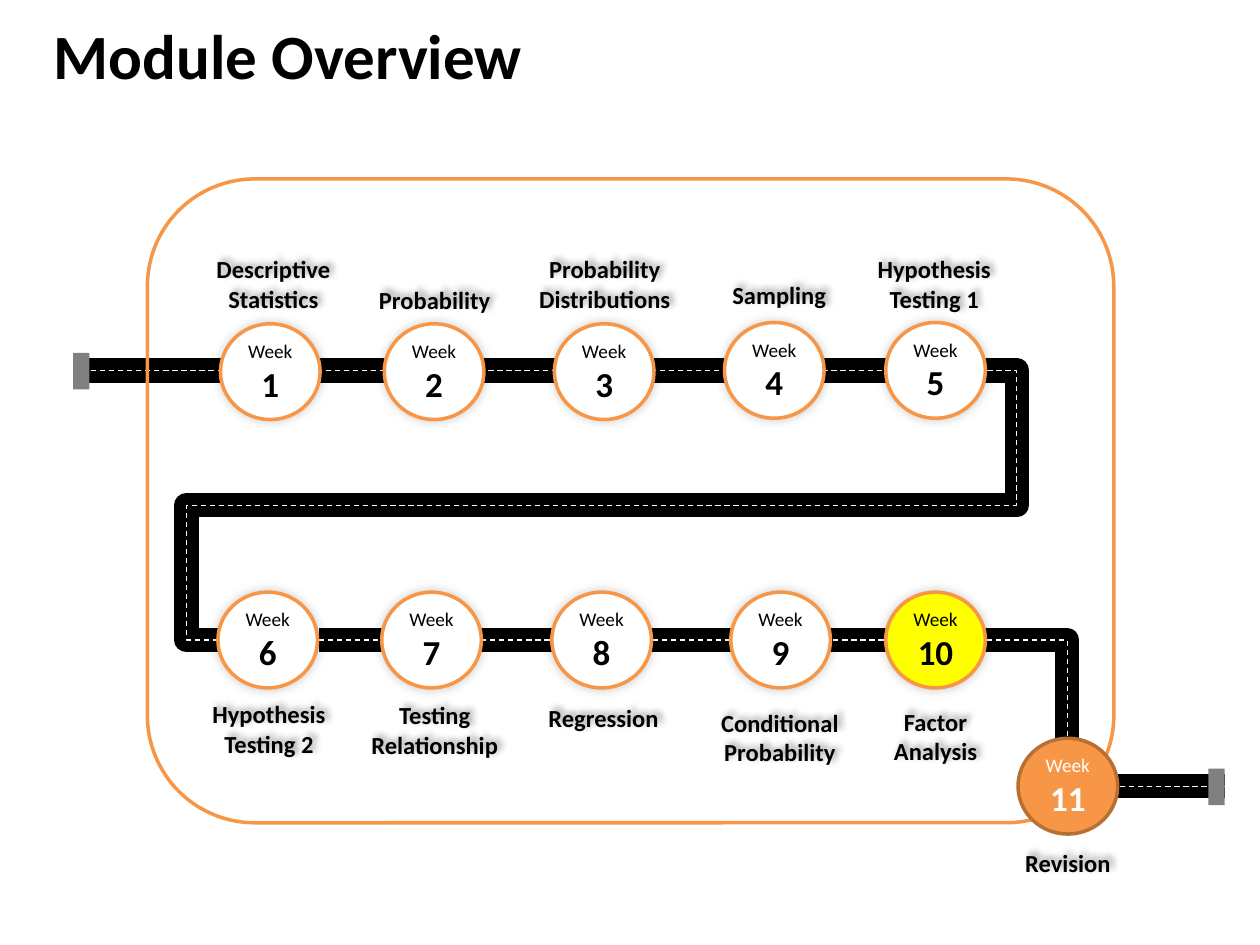
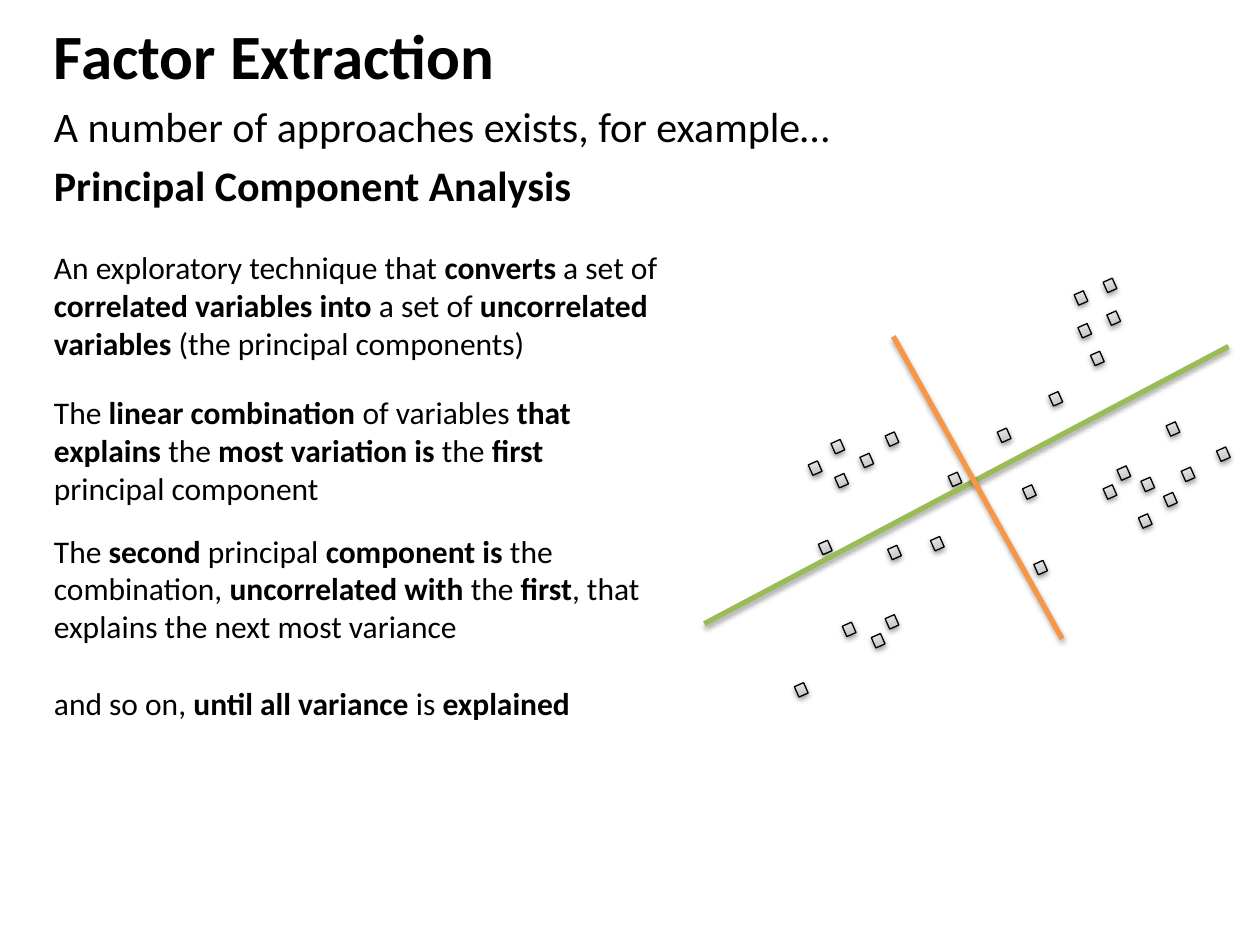
from lxml.etree import SubElement
from pptx import Presentation
from pptx.dml.color import RGBColor
from pptx.enum.dml import MSO_LINE
from pptx.enum.shapes import MSO_CONNECTOR, MSO_SHAPE
from pptx.enum.text import MSO_ANCHOR, MSO_AUTO_SIZE, PP_ALIGN
from pptx.oxml.ns import qn
from pptx.util import Emu, Pt

PX = 9144  # EMU; 100 px to the inch
FONT = "Calibri"
BLACK, WHITE, GREY = "000000", "FFFFFF", "808080"
ORANGE, BROWN, YELLOW, GREEN = "F79646", "B76F34", "FFFF00", "9BBB59"
DOT_DARK, DOT_LIGHT = "BDBDBD", "EEEEEE"

# Opacity in percent, blur and distance in points, direction in degrees
CIRCLE_SHADOW = (20, 6, 0, 315)
LABEL_SHADOW = (40, 4, 3, 315)
DOT_SHADOW = (38, 3.1, 1.6, 90)
AXIS_SHADOW = (35, 3.1, 1.8, 90)

# Week, circle left and top, label left, top and width, label lines
WEEKS = [
    (1, 175, 257, 161, 197, 112, ["Descriptive", "Statistics"]),
    (2, 305, 257, 290, 221, 110, ["Probability"]),
    (3, 440, 257, 417, 197, 126, ["Probability", "Distributions"]),
    (4, 575, 256, 571, 217, 95, ["Sampling"]),
    (5, 703, 256, 686, 197, 111, ["Hypothesis", "Testing 1"]),
    (6, 173, 470, 158, 550, 111, ["Hypothesis", "Testing 2"]),
    (7, 303, 470, 284, 551, 122, ["Testing", "Relationship"]),
    (8, 438, 470, 425, 553, 108, ["Regression"]),
    (9, 580, 470, 562, 557, 114, ["Conditional", "Probability"]),
    (10, 703, 470, 693, 556, 99, ["Factor", "Analysis"]),
    (11, 808, 586, 803, 668, 89, ["Revision"]),
]
CURRENT_WEEK, LAST_WEEK = 10, 11

DOTS = [
    (857, 258), (834, 312), (854, 232), (880, 248), (867, 280), (693, 504),
    (670, 495), (706, 434), (632, 543), (704, 489), (877, 222), (740, 427),
    (793, 341), (877, 386), (907, 380), (643, 367), (661, 350), (664, 377),
    (888, 371), (905, 409), (925, 392), (704, 344), (927, 336), (651, 430),
    (684, 361), (754, 376), (813, 386), (939, 372), (822, 446), (967, 356),
]


def color(hex_string):
    return RGBColor.from_string(hex_string)


def px(*lengths):
    return [Emu(length * PX) for length in lengths]


def set_shadow(shape, shadow=None):
    """Replace the theme shadow by the given one, or by none."""
    properties = shape._element.spPr
    effects = properties.find(qn("a:effectLst"))
    if effects is None:
        effects = SubElement(properties, qn("a:effectLst"))
    if shadow:
        opacity, blur, distance, direction = shadow
        outer = SubElement(
            effects, qn("a:outerShdw"), blurRad=str(Pt(blur)),
            dist=str(Pt(distance)), dir=str(direction * 60000),
            algn="ctr", rotWithShape="0")
        tint = SubElement(outer, qn("a:srgbClr"), val=BLACK)
        SubElement(tint, qn("a:alpha"), val=str(opacity * 1000))


class SlideBuilder:
    """Holds the deck, its style and the slide being drawn."""

    def __init__(self):
        self.deck = Presentation()
        self.deck.slide_width, self.deck.slide_height = px(1000, 750)
        self.page = None

    def new_page(self, title):
        self.page = self.deck.slides.add_slide(self.deck.slide_layouts[6])
        self.text(33, 8, 900, 95, [[(title, True)]], 36)

    def span(self, para, words, size, bold=False, ink=BLACK):
        span = para.add_run()
        span.text = words
        span.font.name, span.font.size = FONT, Pt(size)
        span.font.bold = bold
        span.font.color.rgb = color(ink)

    def text(self, left, top, width, height, paragraphs, size,
             align=PP_ALIGN.LEFT, space_before=0):
        """Add a text box; a paragraph is a list of (words, bold) spans."""
        box = self.page.shapes.add_textbox(*px(left, top, width, height))
        frame = box.text_frame
        frame.word_wrap = True
        for index, spans in enumerate(paragraphs):
            para = frame.add_paragraph() if index else frame.paragraphs[0]
            para.alignment = align
            para.space_before = Pt(space_before)
            for words, bold in spans:
                self.span(para, words, size, bold)
        return box

    def label(self, left, top, width, lines):
        height = 34 if len(lines) == 1 else 57
        box = self.text(left, top, width, height,
                        [[(line, True)] for line in lines], 14,
                        align=PP_ALIGN.CENTER)
        box.text_frame.word_wrap = False
        box.text_frame.auto_size = MSO_AUTO_SIZE.SHAPE_TO_FIT_TEXT
        set_shadow(box, LABEL_SHADOW)

    def shape(self, kind, left, top, width, height, fill=None, line=None,
              weight=2, shadow=None, parent=None):
        shapes = (parent or self.page).shapes
        shape = shapes.add_shape(kind, *px(left, top, width, height))
        shape.shadow.inherit = False
        if fill:
            shape.fill.solid()
            shape.fill.fore_color.rgb = color(fill)
        else:
            shape.fill.background()
        if line:
            shape.line.color.rgb = color(line)
            shape.line.width = Pt(weight)
        else:
            shape.line.fill.background()
        set_shadow(shape, shadow)
        return shape

    def week(self, number, left, top):
        fill, line, ink, shadow = WHITE, ORANGE, BLACK, CIRCLE_SHADOW
        if number == CURRENT_WEEK:
            fill = YELLOW
        elif number == LAST_WEEK:
            fill, line, ink, shadow = ORANGE, BROWN, WHITE, None
        circle = self.shape(MSO_SHAPE.OVAL, left, top, 79, 76, fill, line,
                            shadow=shadow)
        frame = circle.text_frame
        frame.vertical_anchor = MSO_ANCHOR.MIDDLE
        frame.margin_left = frame.margin_right = 0
        self.span(frame.paragraphs[0], "Week", 11, ink=ink)
        self.span(frame.add_paragraph(), str(number), 20, True, ink)
        for para in frame.paragraphs:
            para.alignment = PP_ALIGN.CENTER

    def line(self, start, end, ink, weight, preset="line", bends=(),
             shadow=None):
        kind = (MSO_CONNECTOR.STRAIGHT if preset == "line"
                else MSO_CONNECTOR.ELBOW)
        line = self.page.shapes.add_connector(kind, *px(*start, *end))
        line.line.color.rgb = color(ink)
        line.line.width = Pt(weight)
        geometry = line._element.spPr.find(qn("a:prstGeom"))
        geometry.set("prst", preset)
        guides = geometry.find(qn("a:avLst"))
        for index, bend in enumerate(bends, 1):
            SubElement(guides, qn("a:gd"), name=f"adj{index}",
                       fmla=f"val {bend}")
        set_shadow(line, shadow)
        return line

    def road(self, start, end, preset="line", bends=()):
        """Add a thick black line with a dashed white centre line."""
        self.line(start, end, BLACK, 14, preset, bends)
        centre = self.line(start, end, WHITE, 0.75, preset, bends)
        centre.line.dash_style = MSO_LINE.DASH

    def road_end(self, left, top):
        self.shape(MSO_SHAPE.RECTANGLE, left, top, 13, 29, GREY)

    def dot(self, group, left, top):
        dot = self.shape(MSO_SHAPE.RECTANGLE, left, top, 8, 9, DOT_LIGHT,
                         BLACK, 0.75, DOT_SHADOW, group)
        dot.rotation = 336.1
        dot.fill.gradient()
        dot.fill.gradient_angle = 90
        for stop, shade in zip(dot.fill.gradient_stops,
                               (DOT_DARK, DOT_LIGHT)):
            stop.color.rgb = color(shade)


def module_overview(builder):
    builder.new_page("Module Overview")
    builder.road((58, 294), (703, 294))
    builder.shape(MSO_SHAPE.ROUNDED_RECTANGLE, 117, 142, 767, 511,
                  line=ORANGE)
    builder.road_end(58, 280)
    builder.road((253, 508), (847, 586), "bentConnector2")
    builder.road((173, 508), (782, 294), "bentConnector5",
                 (-4100, 50000, 104100))
    builder.road((972, 624), (887, 624))
    builder.road_end(959, 610)
    for number, left, top, *label in WEEKS:
        builder.week(number, left, top)
        builder.label(*label)


def factor_extraction(builder):
    builder.new_page("Factor Extraction")
    builder.text(33, 75, 650, 117, [
        [("A number of approaches exists, for example…", False)],
        [("Principal Component Analysis", True)],
    ], 24, space_before=4.8)
    builder.text(33, 192, 500, 101, [[
        ("An exploratory technique that ", False), ("converts", True),
        (" a set of ", False), ("correlated variables into", True),
        (" a set of ", False), ("uncorrelated variables", True),
        (" (the principal components)", False),
    ]], 18)
    builder.text(33, 307, 500, 101, [[
        ("The ", False), ("linear combination", True),
        (" of variables ", False), ("that explains", True),
        (" the ", False), ("most variation is", True),
        (" the ", False), ("first", True), (" principal component", False),
    ]], 18)
    closing = builder.text(33, 417, 500, 162, [[
        ("The ", False), ("second", True), (" principal ", False),
        ("component is", True), (" the combination, ", False),
        ("uncorrelated with", True), (" the ", False), ("first", True),
        (", that explains the next most variance", False),
    ], [
        ("and so on, ", False), ("until all variance ", True),
        ("is ", False), ("explained", True),
    ]], 18)
    closing.text_frame.paragraphs[1].space_before = Pt(22)

    scatter = builder.page.shapes.add_group_shape()
    for left, top in DOTS:
        builder.dot(scatter, left, top)
    builder.line((559, 495), (975, 275), GREEN, 3, shadow=AXIS_SHADOW)
    builder.line((709, 267), (843, 507), ORANGE, 3, shadow=AXIS_SHADOW)


def main():
    builder = SlideBuilder()
    module_overview(builder)
    factor_extraction(builder)
    builder.deck.save("out.pptx")


if __name__ == "__main__":
    main()
